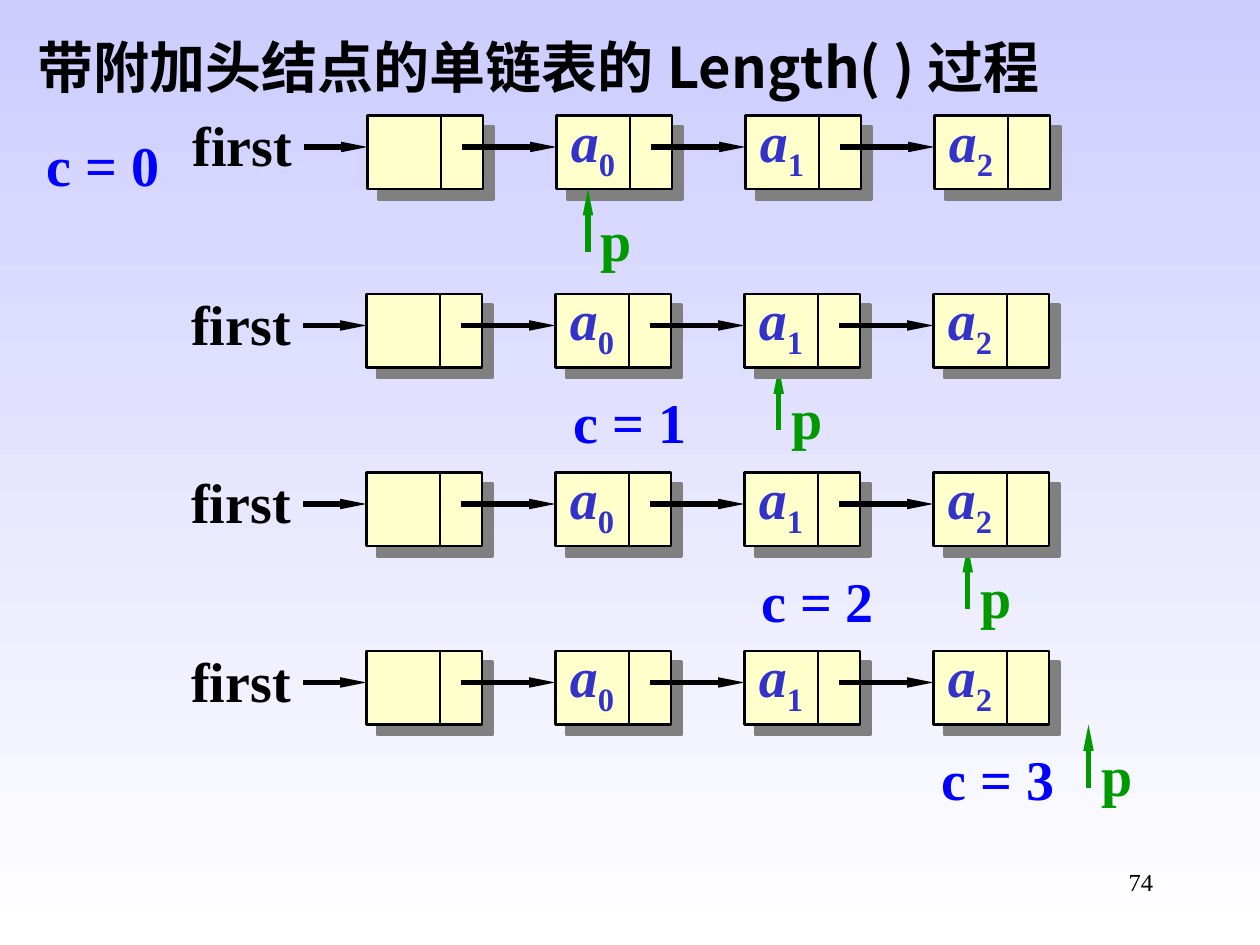
from lxml import etree
from pptx import Presentation
from pptx.dml.color import RGBColor
from pptx.enum.shapes import MSO_CONNECTOR, MSO_SHAPE
from pptx.enum.text import MSO_ANCHOR, MSO_AUTO_SIZE, PP_ALIGN
from pptx.oxml import parse_xml
from pptx.oxml.ns import qn
from pptx.util import Pt

RECT = MSO_SHAPE.RECTANGLE
STRAIGHT = MSO_CONNECTOR.STRAIGHT
TOP, MIDDLE = MSO_ANCHOR.TOP, MSO_ANCHOR.MIDDLE
LEFT, CENTER, RIGHT = PP_ALIGN.LEFT, PP_ALIGN.CENTER, PP_ALIGN.RIGHT
GROW = MSO_AUTO_SIZE.SHAPE_TO_FIT_TEXT

COLORS = {
    "sky": "CCCCFF", "white": "FFFFFF", "node": "FFFFCC", "black": "000000",
    "label": "3333CC", "count": "0000FF", "pointer": "009900",
}
RGB = {name: RGBColor.from_string(value) for name, value in COLORS.items()}
SHADOW = (
    '<a:effectLst xmlns:a="http://schemas.openxmlformats.org/drawingml/2006/main">'
    '<a:outerShdw dist="107950" dir="2700000" algn="ctr" rotWithShape="0">'
    '<a:srgbClr val="808080"/></a:outerShdw></a:effectLst>'
)


def add_text(shapes, x, y, w, h, text, color, size=32, bold=True, align=CENTER,
             anchor=MIDDLE, wrap=False, font="Times New Roman", sub=""):
    tf = shapes.add_textbox(Pt(x), Pt(y), Pt(w), Pt(h)).text_frame
    tf.word_wrap = wrap
    tf.auto_size = GROW
    tf.vertical_anchor = anchor
    p = tf.paragraphs[0]
    p.alignment = align
    p.font.size = Pt(size)
    p.font.bold = bold
    p.font.color.rgb = RGB[color]
    p.font.name = font
    etree.SubElement(p.font._element, qn("a:ea"), typeface=font)
    r = p.add_run()
    r.text = text
    if sub:
        r.font.italic = True
        r = p.add_run()
        r.text = sub
        r.font._element.set("baseline", "-25000")


def add_line(shapes, x1, y1, x2, y2, color="black", width=3, arrow=True):
    line = shapes.add_connector(STRAIGHT, Pt(x1), Pt(y1), Pt(x2), Pt(y2))
    line.line.color.rgb = RGB[color]
    line.line.width = Pt(width)
    if arrow:
        etree.SubElement(line.line._get_or_add_ln(), qn("a:tailEnd"),
                         type="triangle", w="sm", len="lg")
    etree.SubElement(line._element.spPr, qn("a:effectLst"))
    return line


prs = Presentation()
prs.slide_width, prs.slide_height = Pt(720), Pt(540)
slide = prs.slides.add_slide(prs.slide_layouts[6])
s = slide.shapes

fill = slide.background.fill
fill.gradient()
fill.gradient_angle = 270
for stop, name in zip(fill.gradient_stops, ("sky", "white")):
    stop.color.rgb = RGB[name]

NODE_W, NODE_H, SPLIT = 66, 42, 42
COL_STEP, ROW_STEP = 108, 102
LABELS = ("", "0", "1", "2")
STEPS = [
    (210, 336, 19.4, 5.3),
    (209.4, 445, 320.4, 50.4),
    (209.4, 553, 427.7, 50.4),
    (209.4, 622, 530.6, 50.4),
]

for count, (left, pointer_x, count_x, count_dy) in enumerate(STEPS):
    top = 66 + count * ROW_STEP
    pointer = add_line(s, pointer_x, top + 78, pointer_x, top + NODE_H, "pointer")
    row = s.add_group_shape().shapes if count else s

    for col, label in enumerate(LABELS):
        x = left + col * COL_STEP
        sp = row.add_shape(RECT, Pt(x), Pt(top), Pt(NODE_W), Pt(NODE_H))
        sp.fill.solid()
        sp.fill.fore_color.rgb = RGB["node"]
        sp.line.color.rgb = RGB["black"]
        sp.line.width = Pt(1.5)
        sp._element.spPr.append(parse_xml(SHADOW))
        if col:
            add_text(row, x + 0.4, top - 6, 41, 45, "a", "label", sub=label)
        add_line(row, x + SPLIT, top, x + SPLIT, top + NODE_H, width=1.5, arrow=False)

    add_line(row, left - 36, top + 18, left, top + 18)
    for col in range(len(LABELS) - 1):
        x = left + col * COL_STEP
        add_line(row, x + 54, top + 18, x + COL_STEP, top + 18)
    add_text(row, left - 107.2, top - 6, 71.2, 45, "first", "black")

    if count == 0:
        s._spTree.append(pointer._element)
    add_text(s, pointer_x, top + 48, 32.4, 45, "p", "pointer")
    add_text(s, count_x, top + count_dy, 79.2, 45, f"c = {count}", "count")

add_text(s, 14.4, 15.1, 705.6, 46, "带附加头结点的单链表的 Length( ) 过程", "black",
         align=LEFT, anchor=TOP, wrap=True, font="Noto Sans CJK SC")
add_text(s, 516, 492, 150, 36, "74", "black", size=14, bold=False,
         align=RIGHT, anchor=TOP, wrap=True)

prs.save("out.pptx")
